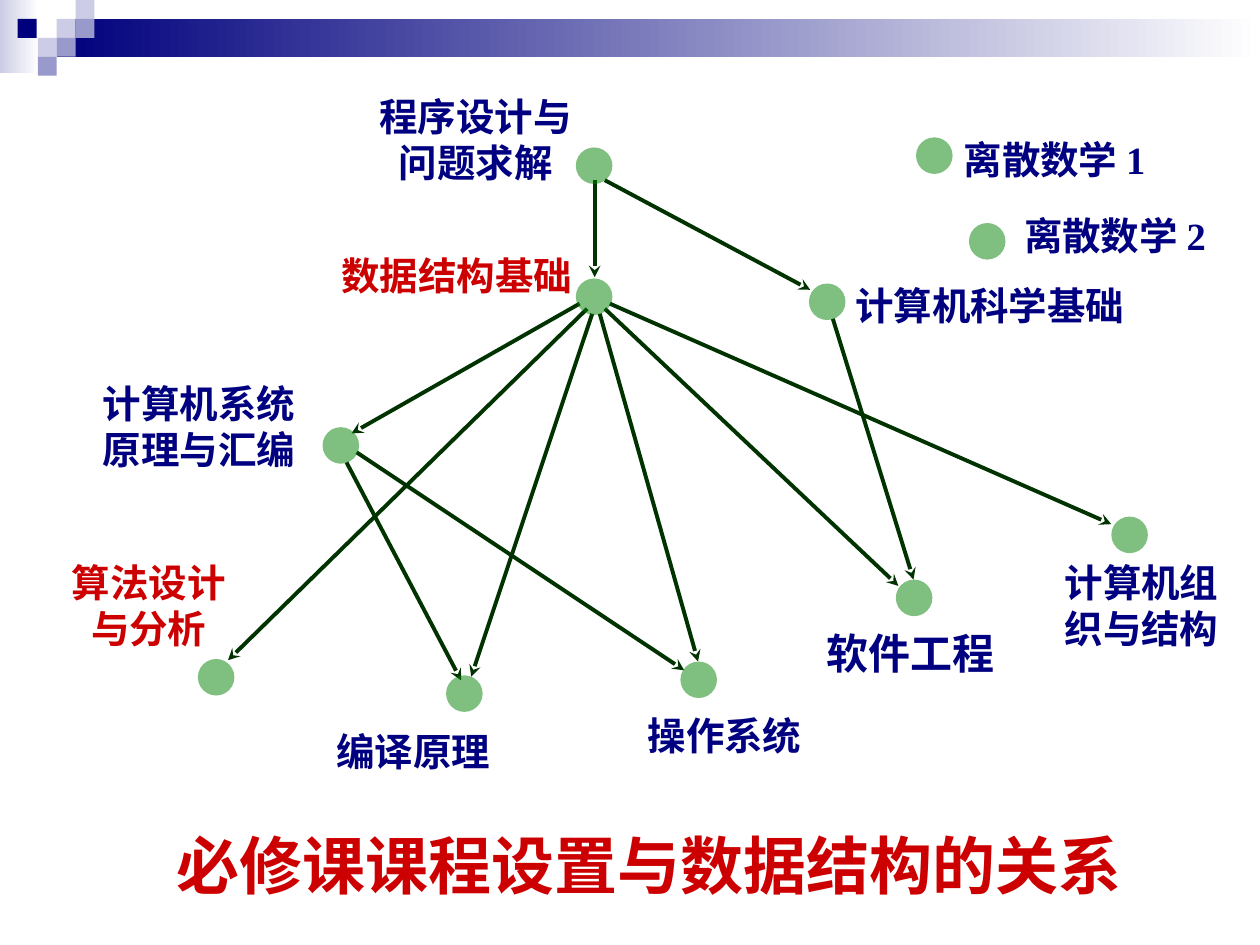
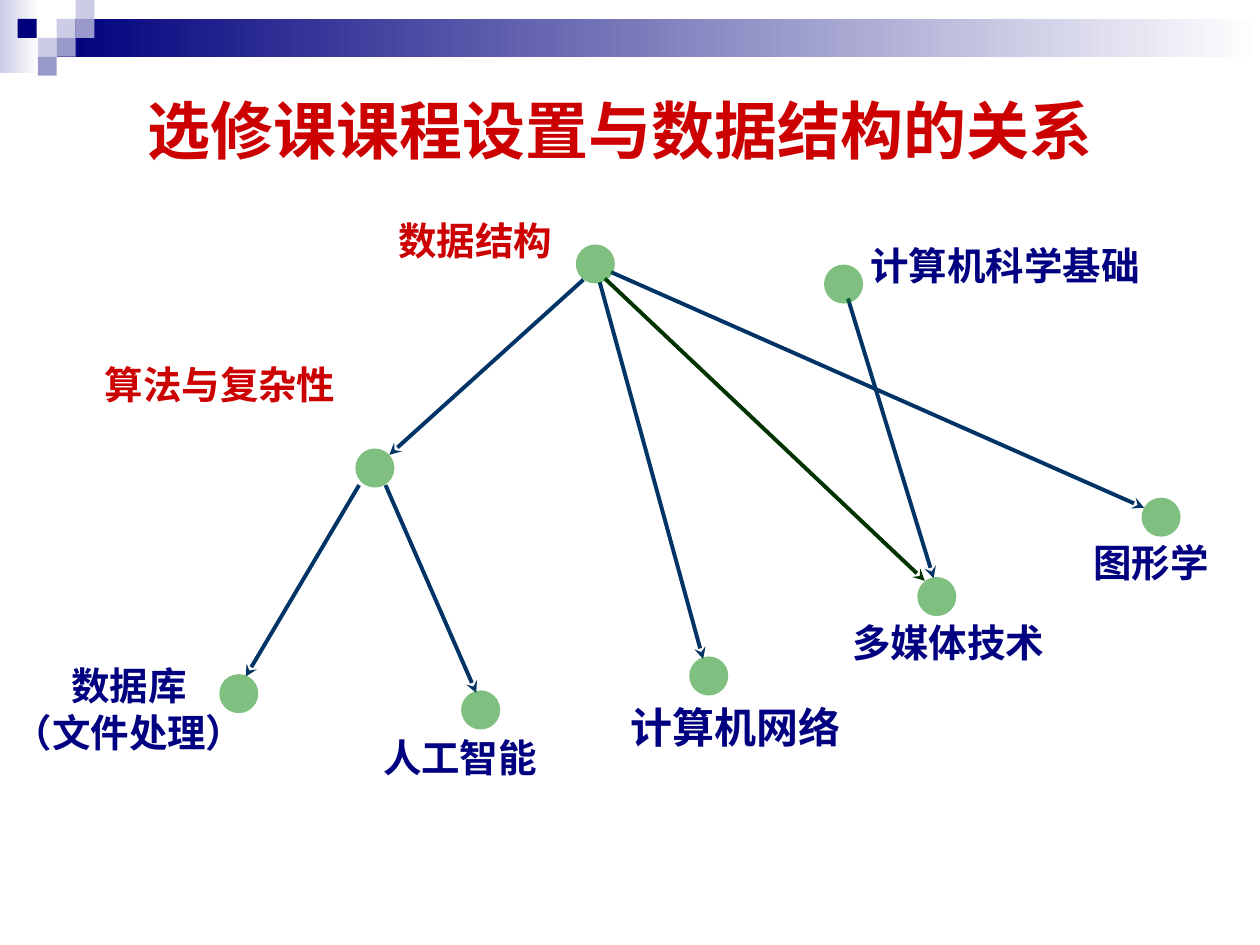
from dataclasses import dataclass

from lxml import etree
from pptx import Presentation
from pptx.dml.color import RGBColor
from pptx.enum.lang import MSO_LANGUAGE_ID
from pptx.enum.shapes import MSO_CONNECTOR, MSO_SHAPE
from pptx.enum.text import MSO_ANCHOR, MSO_AUTO_SIZE, PP_ALIGN
from pptx.oxml.ns import qn
from pptx.util import Pt

PX = 9144
CHINESE = MSO_LANGUAGE_ID.SIMPLIFIED_CHINESE
STRAIGHT = MSO_CONNECTOR.STRAIGHT
RECTANGLE, OVAL = MSO_SHAPE.RECTANGLE, MSO_SHAPE.OVAL
MIDDLE, FIXED_SIZE = MSO_ANCHOR.MIDDLE, MSO_AUTO_SIZE.NONE
LEFT, CENTER, RIGHT, JUSTIFY = (
    PP_ALIGN.LEFT, PP_ALIGN.CENTER, PP_ALIGN.RIGHT, PP_ALIGN.JUSTIFY)


@dataclass(frozen=True)
class Theme:
    navy: str = "00007D"
    lilac: str = "CCCCE6"
    violet: str = "9999CC"
    white: str = "FFFFFF"
    label: str = "000080"
    accent: str = "CC0000"
    node: str = "008000"
    node_alpha: int = 50
    green_arrow: str = "003300"
    blue_arrow: str = "003366"
    title_size: int = 36
    label_size: int = 22
    large_size: int = 24
    line_width: float = 2.25
    title_font: str = "Arial"
    label_font: str = "Times New Roman"
    chinese_font: str = "Noto Sans CJK SC"


THEME = Theme()
ACCENT = {"color": THEME.accent}
LARGE = {"size": THEME.large_size, "font": THEME.title_font}

BANDS = [((0, 0, 31, 58), THEME.lilac), ((45, 15, 955, 30), THEME.navy)]
SQUARE = 15
SQUARES = [
    (45, 15, THEME.lilac), (60, 0, THEME.lilac), (60, 15, THEME.violet),
    (30, 30, THEME.lilac), (14, 15, THEME.navy), (45, 30, THEME.violet),
    (30, 45, THEME.violet),
]

REQUIRED_COURSES = {
    "title": ("必修课课程设置与数据结构的关系", (130, 651, 777, 70), LEFT),
    "node_size": 29,
    "nodes": [
        (457, 117), (727, 109), (769, 177), (256, 339), (157, 523), (354, 536),
        (540, 525), (882, 410), (711, 460), (457, 221), (642, 225),
    ],
    "arrows": {
        THEME.green_arrow: [
            (472, 143, 472, 220), (460, 241, 279, 344), (466, 245, 181, 524),
            (470, 249, 374, 537), (476, 249, 554, 525), (480, 245, 713, 465),
            (484, 241, 882, 416), (480, 143, 643, 230), (661, 253, 725, 460),
            (275, 367, 366, 540), (283, 359, 543, 532),
        ],
    },
    "labels": [
        ("程序设计与\n问题求解", (291, 64, 173, 93), {}),
        ("数据结构基础", (261, 190, 203, 57), {"align": RIGHT, **ACCENT}),
        ("离散数学 1", (755, 98, 164, 57), {"align": JUSTIFY, "wrap": True}),
        ("离散数学 2", (803, 158, 164, 57), {"align": JUSTIFY, "wrap": True}),
        ("计算机科学基础", (669, 214, 234, 57), {"align": JUSTIFY}),
        ("计算机系统\n原理与汇编", (71, 292, 173, 93), {"align": RIGHT}),
        ("算法设计\n与分析", (47, 434, 142, 93), ACCENT),
        ("编译原理", (257, 568, 142, 57), {}),
        ("操作系统", (504, 555, 142, 57), {}),
        ("软件工程", (646, 488, 153, 60), LARGE),
        ("计算机组\n织与结构", (835, 434, 142, 93), {}),
    ],
}

ELECTIVE_COURSES = {
    "title": ("选修课课程设置与数据结构的关系", (42, 62, 900, 81), CENTER),
    "node_size": 31,
    "nodes": [
        (282, 356), (174, 535), (366, 548), (906, 395),
        (547, 521), (457, 194), (654, 210), (728, 458),
    ],
    "arrows": {
        THEME.blue_arrow: [
            (463, 222, 309, 361), (476, 224, 558, 523), (485, 216, 908, 403),
            (673, 237, 741, 459), (285, 385, 195, 537), (306, 385, 378, 550),
        ],
        THEME.green_arrow: [(480, 221, 734, 461)],
    },
    "labels": [
        ("数据结构", (306, 162, 142, 57), {"align": RIGHT, **ACCENT}),
        ("计算机科学基础", (681, 182, 235, 57), {"align": JUSTIFY}),
        ("算法与复杂性", (70, 276, 206, 57), {"align": RIGHT, **ACCENT}),
        ("数据库\n（文件处理）", (1, 516, 203, 93), {"font": THEME.chinese_font}),
        ("人工智能", (294, 572, 142, 57), {}),
        ("计算机网络", (490, 547, 187, 60), LARGE),
        ("图形学", (858, 418, 112, 57), {"align": JUSTIFY}),
        ("多媒体技术", (662, 481, 181, 57), {}),
    ],
}


def emu(box):
    return [value * PX for value in box]


def write_text(shape, text, *, size=THEME.label_size, font=THEME.label_font,
               color=THEME.label, align=CENTER, wrap=False, inset=10):
    frame = shape.text_frame
    frame.text = text
    frame.auto_size = FIXED_SIZE
    frame.word_wrap = wrap
    frame.vertical_anchor = MIDDLE
    frame.margin_left = frame.margin_right = 10 * PX
    frame.margin_top = frame.margin_bottom = inset * PX
    for paragraph in frame.paragraphs:
        paragraph.alignment = align
        for run in paragraph.runs:
            run.font.name = font
            run.font.size = Pt(size)
            run.font.bold = True
            run.font.color.rgb = RGBColor.from_string(color)
            run.font.language_id = CHINESE


def add_filled(slide, kind, box, color, *, fade=False, alpha=None):
    shape = slide.shapes.add_shape(kind, *emu(box))
    shape.shadow.inherit = False
    shape.line.fill.background()
    if fade:
        shape.fill.gradient()
        shape.fill.gradient_angle = 0
        for stop, stop_color in zip(shape.fill.gradient_stops, (color, THEME.white)):
            stop.color.rgb = RGBColor.from_string(stop_color)
    else:
        shape.fill.solid()
        shape.fill.fore_color.rgb = RGBColor.from_string(color)
    if alpha is not None:
        for color_element in shape.element.spPr.iter(qn("a:srgbClr")):
            etree.SubElement(color_element, qn("a:alpha")).set("val", str(alpha * 1000))
    return shape


def add_arrow(slide, ends, color):
    arrow = slide.shapes.add_connector(STRAIGHT, *emu(ends))
    arrow.line.color.rgb = RGBColor.from_string(color)
    arrow.line.width = Pt(THEME.line_width)
    etree.SubElement(arrow.line._get_or_add_ln(), qn("a:tailEnd")).set("type", "stealth")
    etree.SubElement(arrow.element.spPr, qn("a:effectLst"))


def decorate_master(master, slide):
    shapes = [add_filled(slide, RECTANGLE, box, color, fade=True) for box, color in BANDS]
    shapes += [add_filled(slide, RECTANGLE, (left, top, SQUARE, SQUARE), color)
               for left, top, color in SQUARES]
    for index, shape in enumerate(shapes):
        shape.element.nvSpPr.cNvPr.set("id", str(100 + index))
        master.shapes.element.insert(2 + index, shape.element)


def build_slide(slide, content):
    text, box, align = content["title"]
    title = slide.shapes.title
    title.left, title.top, title.width, title.height = emu(box)
    write_text(title, text, size=THEME.title_size, font=THEME.title_font,
               color=THEME.accent, align=align, inset=5)
    for color, arrows in content["arrows"].items():
        for ends in arrows:
            add_arrow(slide, ends, color)
    size = content["node_size"]
    for left, top in content["nodes"]:
        add_filled(slide, OVAL, (left, top, size, size), THEME.node, alpha=THEME.node_alpha)
    for text, box, style in content["labels"]:
        write_text(slide.shapes.add_textbox(*emu(box)), text, **style)


def main():
    presentation = Presentation()
    presentation.slide_width, presentation.slide_height = emu((1000, 750))
    title_only = presentation.slide_layouts[5]
    for content in (REQUIRED_COURSES, ELECTIVE_COURSES):
        build_slide(presentation.slides.add_slide(title_only), content)
    decorate_master(presentation.slide_master, presentation.slides[0])
    presentation.save("out.pptx")


if __name__ == "__main__":
    main()
